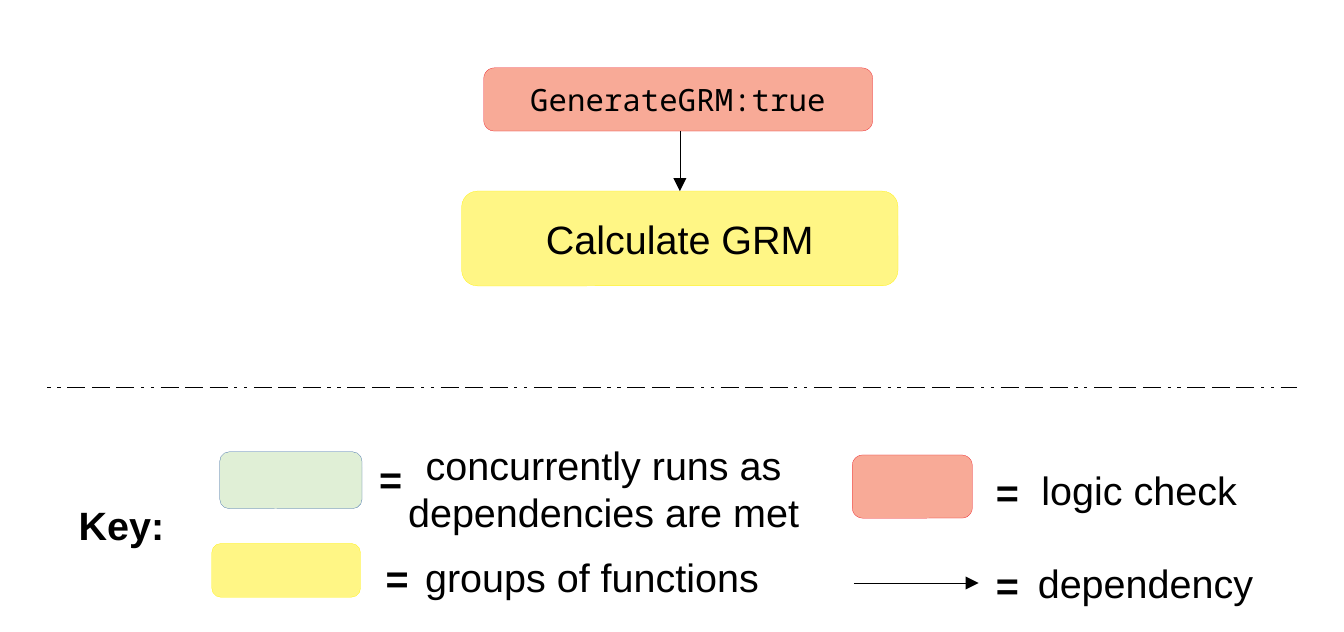
from lxml import etree
from pptx import Presentation
from pptx.dml.color import RGBColor
from pptx.enum.shapes import MSO_CONNECTOR, MSO_SHAPE
from pptx.enum.text import MSO_ANCHOR, PP_ALIGN
from pptx.oxml.ns import qn
from pptx.util import Pt

ROUNDED = MSO_SHAPE.ROUNDED_RECTANGLE
STRAIGHT = MSO_CONNECTOR.STRAIGHT
LEFT, CENTER = PP_ALIGN.LEFT, PP_ALIGN.CENTER
MIDDLE = MSO_ANCHOR.MIDDLE

BLACK = RGBColor(0x00, 0x00, 0x00)
YELLOW, YELLOW_EDGE = RGBColor(0xFF, 0xF6, 0x85), RGBColor(0xFF, 0xF2, 0x00)
RED, RED_EDGE = RGBColor(0xF8, 0xAA, 0x97), RGBColor(0xED, 0x1C, 0x24)
GREEN, GREEN_EDGE = RGBColor(0xC2, 0xE0, 0xAE), RGBColor(0x34, 0x65, 0xA4)

SANS, MONO = "Arial", "Noto Sans Mono"
LABEL_WIDTH, LINE_HEIGHT, EQUALS_WIDTH = 196, 27.36, 28.8
HAIRLINE = 0.1

STEPS = [
    ("Calculate GRM", (210.24, 87.12, 198.72, 43.2), YELLOW, YELLOW_EDGE, SANS, 18),
    ("GenerateGRM:true", (220.32, 30.96, 177.12, 28.8), RED, RED_EDGE, MONO, 14),
]
KEY_BOXES = [
    ((100.08, 205.92, 64.8, 25.92), GREEN, GREEN_EDGE, 50),
    ((96.48, 247.68, 67.68, 24.48), YELLOW, YELLOW_EDGE, 100),
    ((388.08, 207.36, 54.72, 28.8), RED, RED_EDGE, 100),
]
KEY_LABELS = [
    ("concurrently runs as dependencies are met", 274.9, 197.28, 47.52),
    ("groups of functions", 269.64, 248.4, LINE_HEIGHT),
    ("logic check", 518.76, 208.8, LINE_HEIGHT),
    ("dependency", 521.64, 251.28, LINE_HEIGHT),
]
EQUALS_SIGNS = [(165.6, 203.76), (168.48, 249.12), (446.4, 209.52), (446.4, 252)]
ARROWS = [(309.6, 59.76, 309.6, 87.12), (388.8, 265.68, 445.68, 265.68)]
DIVIDER = (21.6, 176.4, 590.4, 176.4)
DIVIDER_DASHES = [300, 300, 1600, 1600, 1600]
DIVIDER_GAP = 586


def points(values):
    return [Pt(value) for value in values]


def write(shape, text, font_name, size, align=CENTER, bold=False):
    shape.text_frame.text = text
    paragraph = shape.text_frame.paragraphs[0]
    paragraph.alignment = align
    font = paragraph.runs[0].font
    font.name, font.size, font.bold = font_name, Pt(size), bold
    font.color.rgb = BLACK


def add_box(slide, bounds, fill, edge, opacity=100):
    shape = slide.shapes.add_shape(ROUNDED, *points(bounds))
    shape.shadow.inherit = False
    shape.fill.solid()
    shape.fill.fore_color.rgb = fill
    if opacity < 100:
        color = shape.fill._xPr.find(".//" + qn("a:srgbClr"))
        etree.SubElement(color, qn("a:alpha"), val=str(opacity * 1000))
    shape.line.color.rgb = edge
    shape.line.width = Pt(HAIRLINE)
    return shape


def add_label(slide, text, bounds, align=CENTER, bold=False):
    box = slide.shapes.add_textbox(*points(bounds))
    box.text_frame.word_wrap = True
    write(box, text, SANS, 18, align, bold)


def add_line(slide, ends, width=HAIRLINE):
    line = slide.shapes.add_connector(STRAIGHT, *points(ends))
    line.line.color.rgb = BLACK
    line.line.width = Pt(width)
    etree.SubElement(line._element.spPr, qn("a:effectLst"))
    return line.line._get_or_add_ln()


presentation = Presentation()
presentation.slide_width, presentation.slide_height = Pt(612), Pt(288)
slide = presentation.slides.add_slide(presentation.slide_layouts[6])

for text, bounds, fill, edge, font_name, size in STEPS:
    step = add_box(slide, bounds, fill, edge)
    write(step, text, font_name, size)
    step.text_frame.word_wrap = False
    step.text_frame.vertical_anchor = MIDDLE

for key_box in KEY_BOXES:
    add_box(slide, *key_box)

for ends in ARROWS:
    etree.SubElement(add_line(slide, ends), qn("a:tailEnd"), type="triangle")

for text, center, top, height in KEY_LABELS:
    add_label(slide, text, (center - LABEL_WIDTH / 2, top, LABEL_WIDTH, height))
for left, top in EQUALS_SIGNS:
    add_label(slide, "=", (left, top, EQUALS_WIDTH, LINE_HEIGHT), LEFT, True)
add_label(slide, "Key:", (28.8, 224.64, 57.6, LINE_HEIGHT), LEFT, True)

dashes = etree.SubElement(add_line(slide, DIVIDER, 0.5), qn("a:custDash"))
for length in DIVIDER_DASHES:
    etree.SubElement(
        dashes, qn("a:ds"), d=str(length * 1000), sp=str(DIVIDER_GAP * 1000)
    )

presentation.save("out.pptx")
